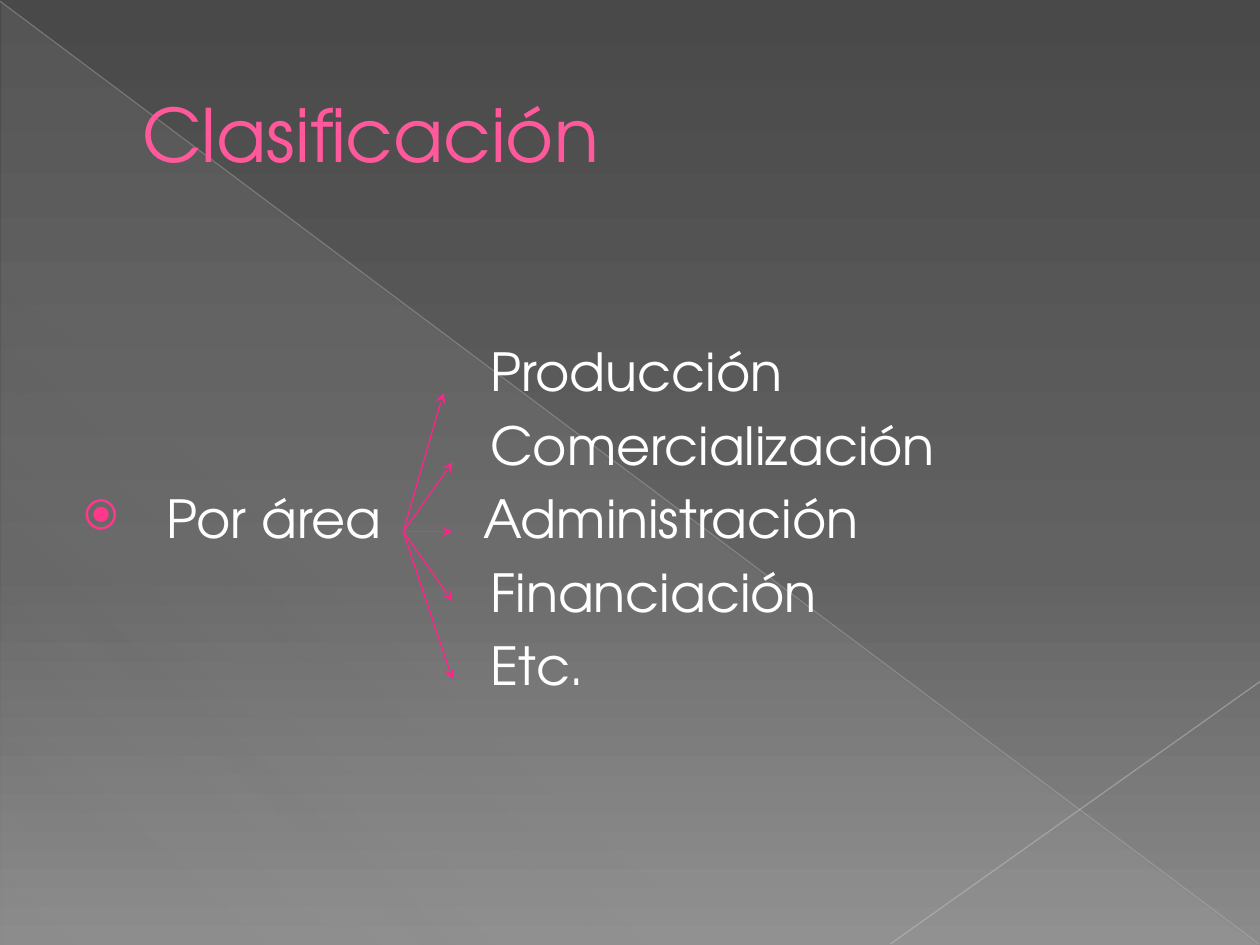
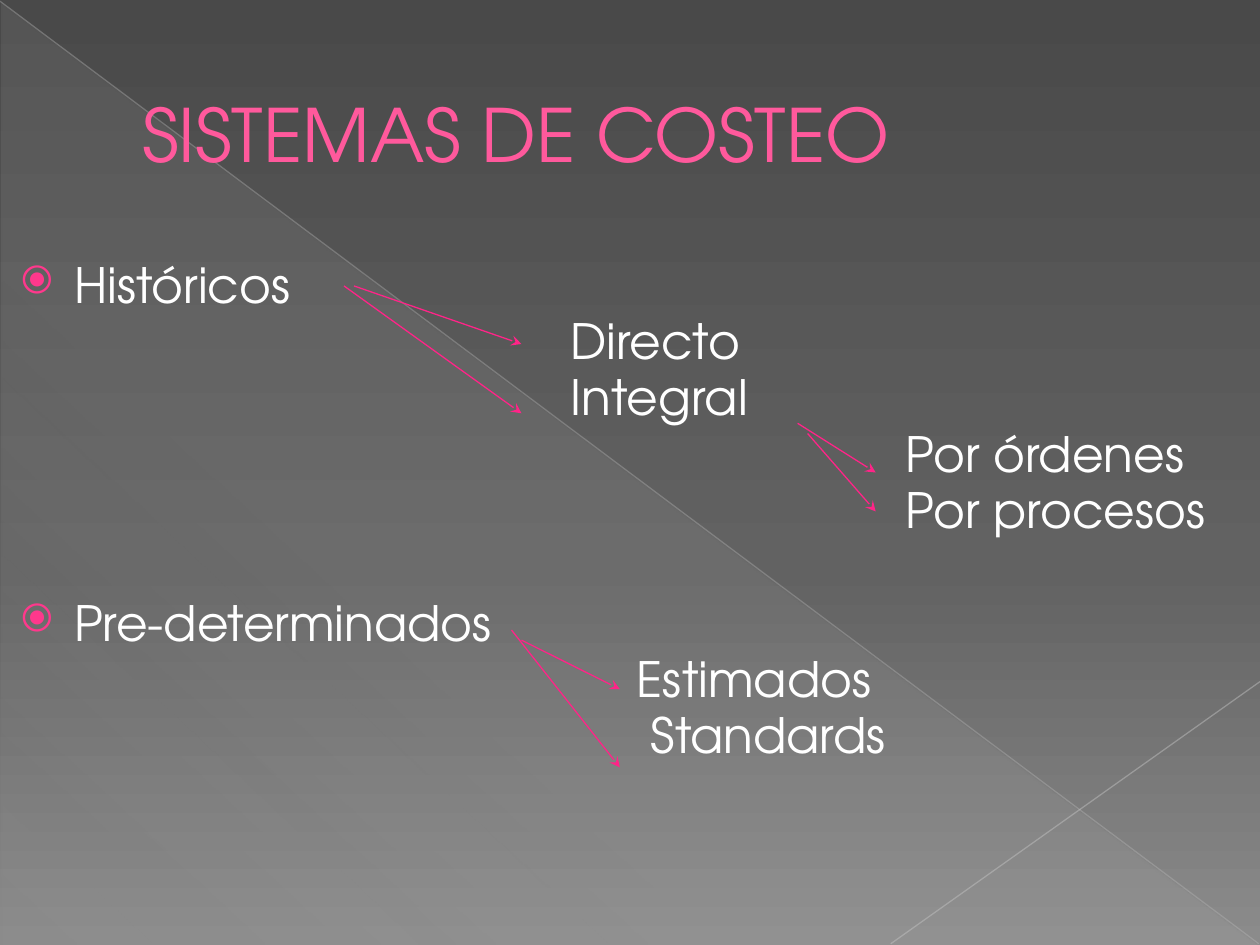
"""Build two slides on cost classification and costing systems."""
from lxml.etree import SubElement
from pptx import Presentation
from pptx.dml.color import RGBColor
from pptx.enum.shapes import MSO_CONNECTOR, MSO_SHAPE
from pptx.enum.text import MSO_ANCHOR
from pptx.oxml.ns import qn
from pptx.util import Pt

FONT = "TeX Gyre Adventor"
COLORS = {
    "title": "FF599C", "text": "FFFFFF", "bullet": "FF388C", "arrow": "FF2488",
    "diagonal": "BEBEBE", "corner": "C5C5C5", "sheen": "D2D2D2",
    "dark": "494949", "mid": "626262", "light": "8B8B8B",
}
BACKDROP = [(0, "dark", 100), (60, "mid", 100), (100, "light", 100)]
SHEEN = [(0, "sheen", 10), (70, "sheen", 8), (100, "sheen", 1)]


def add_line(s, start, end, color, opacity=100, arrow=False):
    c = s.shapes.add_connector(MSO_CONNECTOR.STRAIGHT, *map(Pt, start + end))
    c.line.width = Pt(0.75)
    c.line.color.rgb = RGBColor.from_string(COLORS[color])
    spPr = c._element.spPr
    if opacity < 100:
        clr = spPr.xpath(".//a:srgbClr")[0]
        SubElement(clr, qn("a:alpha"), val=str(opacity * 1000))
    if arrow:
        SubElement(spPr.find(qn("a:ln")), qn("a:tailEnd"), type="stealth")
    SubElement(spPr, qn("a:effectLst"))


def add_text(s, box, paragraphs, size, color="text", spacing=1.0, gap=6,
             anchor=MSO_ANCHOR.TOP):
    tf = s.shapes.add_textbox(*map(Pt, box)).text_frame
    tf.word_wrap = True
    tf.vertical_anchor = anchor
    for i, (text, margin, hanging, extra) in enumerate(paragraphs):
        p = tf.paragraphs[0] if i == 0 else tf.add_paragraph()
        p.line_spacing = spacing
        p.space_before = Pt(gap + extra if i else 0)
        pPr = p._p.get_or_add_pPr()
        pPr.set("marL", str(Pt(margin)))
        pPr.set("indent", str(Pt(-hanging)))
        if hanging:
            clr = SubElement(pPr, qn("a:buClr"))
            SubElement(clr, qn("a:srgbClr"), val=COLORS["bullet"])
            SubElement(pPr, qn("a:buSzPct"), val="80000")
            SubElement(pPr, qn("a:buFont"), typeface=FONT)
            SubElement(pPr, qn("a:buChar"), char="⦿")
        r = p.add_run()
        r.text = text
        r.font.name = FONT
        r.font.size = Pt(size)
        r.font.color.rgb = RGBColor.from_string(COLORS[color])


prs = Presentation()
prs.slide_width, prs.slide_height = Pt(720), Pt(540)

slides = []
for title in ("Clasificación", "SISTEMAS DE COSTEO"):
    s = prs.slides.add_slide(prs.slide_layouts[6])
    slides.append(s)
    sheen = s.shapes.add_shape(MSO_SHAPE.RIGHT_TRIANGLE, Pt(0.7), Pt(1.4), Pt(718.6), Pt(538.6))
    sheen.shadow.inherit = False
    sheen.line.fill.background()
    for fill, owner, path, stops, angle in (
        (s.background.fill, s, ".//p:bgPr//a:gsLst", BACKDROP, 90),
        (sheen.fill, sheen, ".//a:gsLst", SHEEN, 133),
    ):
        fill.gradient()
        fill.gradient_angle = 360 - angle
        gs_list = owner._element.xpath(path)[0]
        for gs in list(gs_list):
            gs_list.remove(gs)
        for position, name, opacity in stops:
            gs = SubElement(gs_list, qn("a:gs"), pos=str(position * 1000))
            clr = SubElement(gs, qn("a:srgbClr"), val=COLORS[name])
            SubElement(clr, qn("a:alpha"), val=str(opacity * 1000))
    add_line(s, (0, 0.7), (719.3, 539.3), "diagonal", 35)
    add_line(s, (720, 389.5), (509, 539.3), "corner", 45)
    add_text(s, (36, 21, 648, 110), [(title, 38.2, 0, 0)], 42, "title",
             anchor=MSO_ANCHOR.MIDDLE)

classes, systems = slides

add_text(classes, (36, 274.3, 190, 44), [("Por área", 52, 47, 0)], 30)
areas = [("Producción", 4), ("Comercialización", 4), ("Administración", 0),
         ("Financiación", 4), ("Etc.", 4)]
add_text(classes, (269, 190.3, 415, 212), [(area, margin, 0, 0) for area, margin in areas], 30)
for tip in ((253.4, 224.6), (258.5, 264.2), (258.5, 303.8), (258.5, 343.4), (258.5, 388)):
    add_line(classes, (230.4, 303.8), tip, "arrow", arrow=True)

add_text(systems, (0, 148.3, 720, 360), [
    ("Históricos", 35.3, 30.2, 0),
    ("Directo", 319, 0, 0),
    ("Integral", 319, 0, 0),
    ("Por órdenes", 510.5, 0, 0),
    ("Por procesos", 510.5, 0, 0),
    ("Pre-determinados", 35.3, 30.2, 32.2),
    ("Estimados", 356.7, 0, 0),
    ("Standards", 364.5, 0, 0),
], 27.8, spacing=0.8, gap=5.5)
for start, tip in (
    ((202.3, 163.4), (298, 196.6)), ((196.6, 163.4), (298, 236.2)),
    ((455.8, 241.9), (500.4, 270)), ((461.5, 247.7), (500.4, 292.3)),
    ((298, 365.8), (354.2, 393.8)), ((292.3, 360), (354.2, 438.5)),
):
    add_line(systems, start, tip, "arrow", arrow=True)

prs.save("out.pptx")
